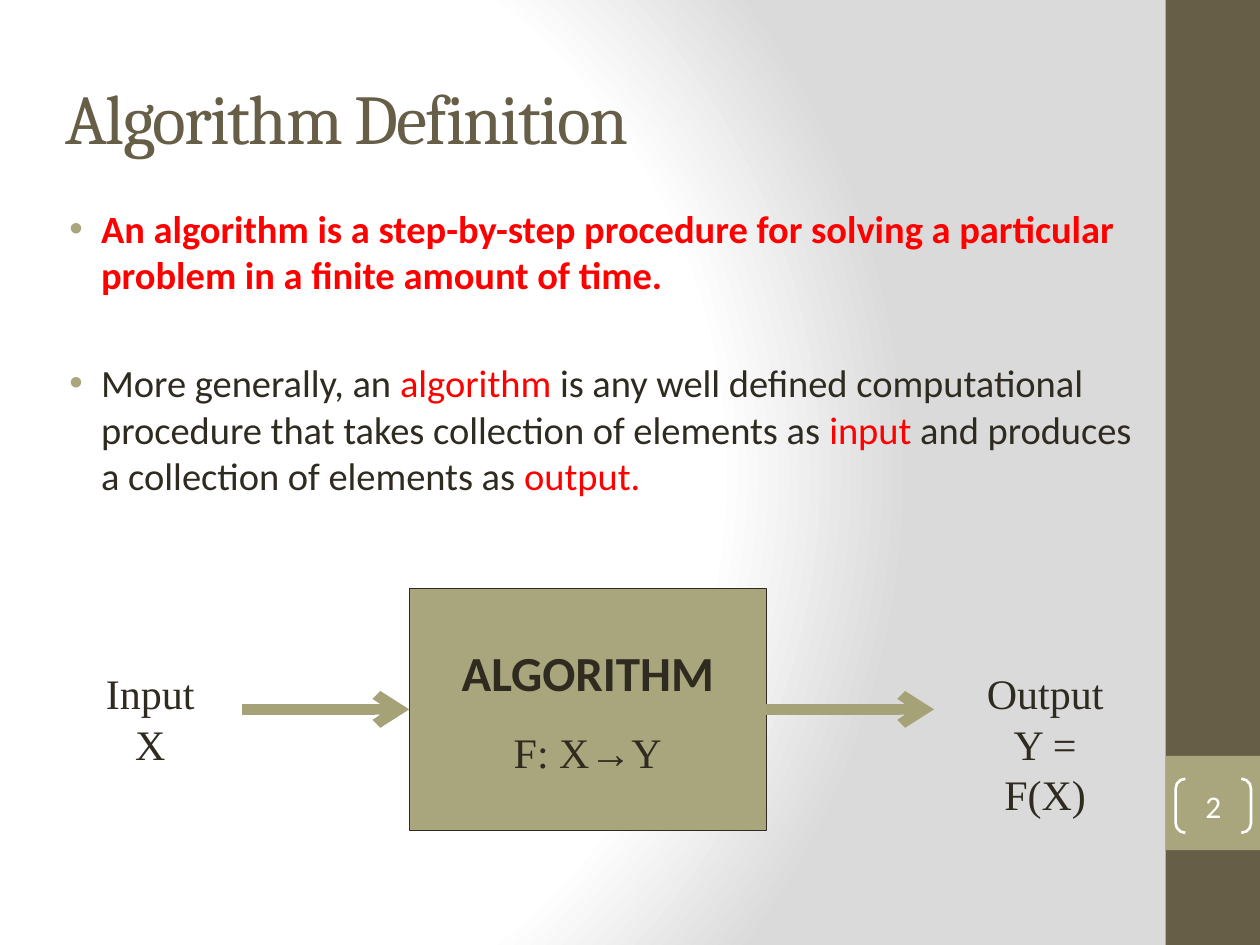
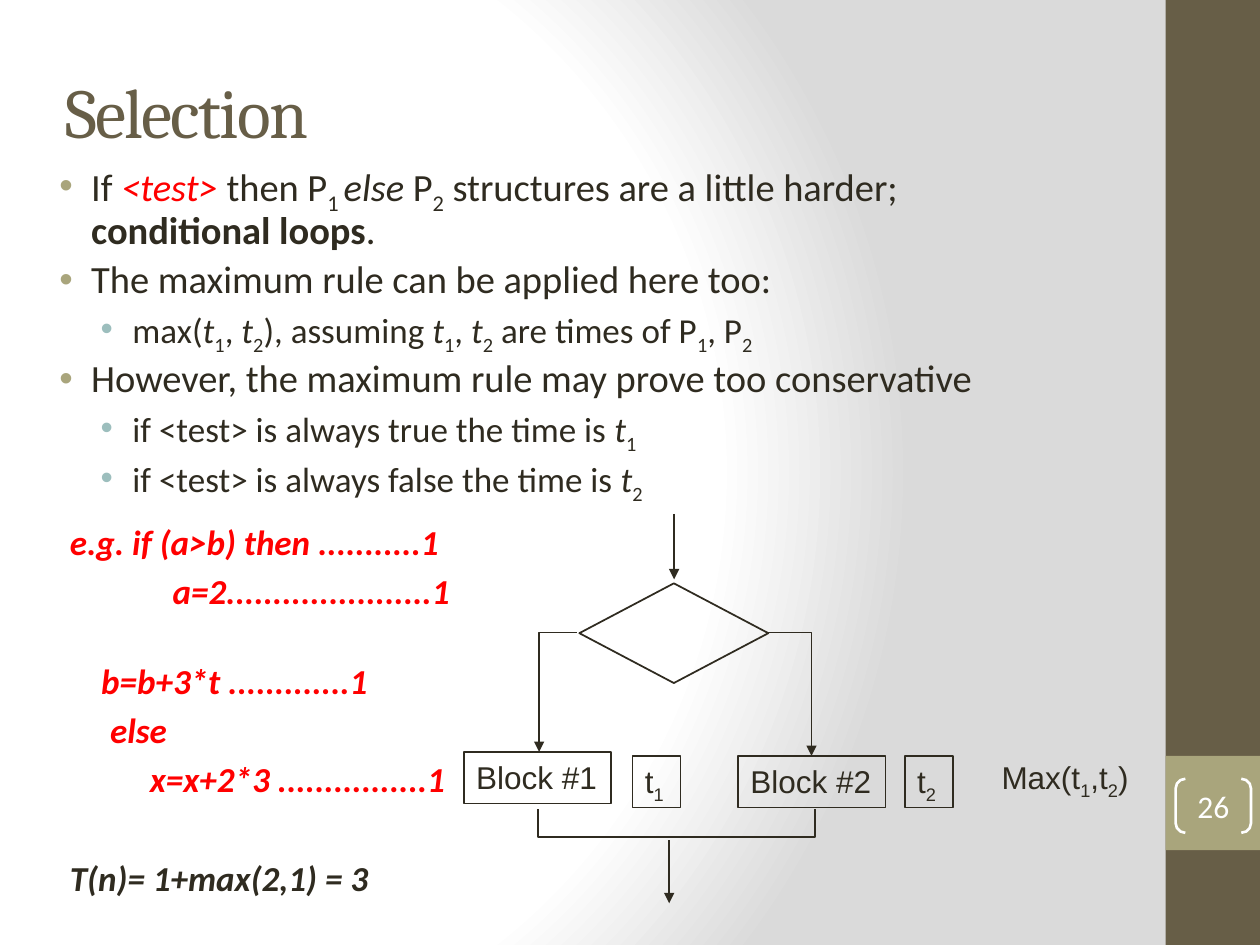
from dataclasses import dataclass

from pptx import Presentation
from pptx.dml.color import RGBColor
from pptx.enum.shapes import MSO_CONNECTOR as Link, MSO_SHAPE as Preset
from pptx.enum.text import MSO_ANCHOR as Anchor, MSO_AUTO_SIZE as Fit, PP_ALIGN as Align
from pptx.oxml import parse_xml
from pptx.oxml.ns import nsdecls, qn
from pptx.util import Cm, Pt


@dataclass(frozen=True)
class Theme:
    brown: str = "675E47"
    olive: str = "A9A57C"
    arrow: str = "A6A278"
    teal: str = "9CBEBD"
    ink: str = "2F2B20"
    red: str = "FF0000"
    white: str = "FFFFFF"
    grey: str = "DADADA"
    heading: str = "Cambria"
    body: str = "Calibri"
    formula: str = "Times New Roman"
    label: str = "Arial"
    title_size: int = 40
    name_size: int = 28
    formula_size: int = 24
    body_size: int = 22
    detail_size: int = 20
    label_size: int = 18


THEME = Theme()

# A span is (text, marks): r red, b bold, i italic, s subscript
T1 = [("t", "i"), ("1", "s")]
T2 = [("t", "i"), ("2", "s")]

# Points are (level, extra space before in points, spans)
DEFINITION = [
    (0, 0, [("An algorithm is a step-by-step procedure for solving a particular "
             "problem in a finite amount of time.", "rb")]),
    (0, 31, [("More generally, an ", ""), ("algorithm ", "r"),
             ("is any well defined computational procedure that takes "
              "collection of elements as ", ""),
             ("input ", "r"),
             ("and produces a collection of elements as ", ""), ("output.", "r")]),
]
SELECTION = [
    (0, 0, [("If ", ""), ("<test> ", "ri"), ("then P", ""), ("1 ", "s"), ("else", "i"),
            (" P", ""), ("2", "s"), (" structures are a little harder; ", ""),
            ("conditional loops", "b"), (".", "")]),
    (0, 0, [("The maximum rule can be applied here too:", "")]),
    (1, 0, [("max(", ""), *T1, (", ", ""), *T2, ("), assuming ", ""), *T1, (", ", ""), *T2,
            (" are times of P", ""), ("1", "s"), (", P", ""), ("2", "s")]),
    (0, 0, [("However, the maximum rule may prove too conservative", "")]),
    (1, 0, [("if <test> is always true the time is ", ""), *T1]),
    (1, 0, [("if <test> is always false the time is ", ""), *T2]),
]
# Example lines are (indent in cm, space before in points, text, marks)
EXAMPLE = [
    (0.32, 0, "e.g. if (a>b) then ...........1", "rbi"),
    (2.39, 4, "a=2......................1", "rbi"),
    (0.95, 27.6, "b=b+3*t .............1", "rbi"),
    (1.13, 4, "else", "rbi"),
    (1.93, 4, "x=x+2*3 ................1", "rbi"),
    (0.32, 32.4, "T(n)= 1+max(2,1) = 3", "bi"),
]
# Flow boxes are (left, top, width, spans)
FLOW_BOXES = [
    (9.35, 15.16, 2.97, [("Block #1", "")]),
    (14.88, 15.24, 2.97, [("Block #2", "")]),
    (12.75, 15.24, 0.97, [("t", ""), ("1", "s")]),
    (18.24, 15.24, 0.97, [("t", ""), ("2", "s")]),
]
MAXIMUM = [("Max(t", ""), ("1", "s"), (",t", ""), ("2", "s"), (")", "")]

# Per level: left margin in cm, bullet colour, text size
LEVELS = [(0.95, THEME.olive, THEME.body_size), (1.78, THEME.teal, THEME.detail_size)]
HANGING = 0.64


def color(value):
    return RGBColor.from_string(value)


def cms(*values):
    return [Cm(value) for value in values]


def write(para, spans, size, face, ink=THEME.ink):
    for text, marks in spans:
        span = para.add_run()
        span.text = text
        font = span.font
        font.size, font.name = Pt(size), face
        font.color.rgb = color(THEME.red if "r" in marks else ink)
        font.bold, font.italic = "b" in marks, "i" in marks
        if "s" in marks:
            font._element.set("baseline", "-25000")


def next_para(frame):
    """Return the empty first paragraph, or a new one after it."""
    first = frame.paragraphs[0]
    return frame.add_paragraph() if first.runs else first


def indent(para, margin, hanging=0):
    props = para._p.get_or_add_pPr()
    props.set("marL", str(Cm(margin)))
    props.set("indent", str(-Cm(hanging)))
    return props


def add_box(slide, place, wrap=True, fit=Fit.NONE):
    box = slide.shapes.add_textbox(*cms(*place))
    box.text_frame.word_wrap = wrap
    box.text_frame.auto_size = fit
    return box


def add_outline(slide, preset, place, fill=None, line=None, width=1):
    shape = slide.shapes.add_shape(preset, *cms(*place))
    style_outline(shape, fill, line, width)
    return shape


def style_outline(shape, fill=None, line=None, width=1):
    shape.shadow.inherit = False
    if fill:
        shape.fill.solid()
        shape.fill.fore_color.rgb = color(fill)
    else:
        shape.fill.background()
    if line:
        shape.line.color.rgb = color(line)
        shape.line.width = Pt(width)
    else:
        shape.line.fill.background()


def add_arrow(slide, start, end, ink=THEME.ink, width=1, head="triangle", bent=False):
    kind = Link.ELBOW if bent else Link.STRAIGHT
    arrow = slide.shapes.add_connector(kind, *cms(*start, *end))
    arrow.line.color.rgb = color(ink)
    arrow.line.width = Pt(width)
    props = arrow.element.spPr
    if bent:
        props.find(qn("a:prstGeom")).set("prst", "bentConnector2")
    props.find(qn("a:ln")).append(parse_xml(f'<a:tailEnd {nsdecls("a")} type="{head}"/>'))
    props.append(parse_xml(f'<a:effectLst {nsdecls("a")}/>'))
    return arrow


def set_background(master):
    stops = "".join(
        f'<a:gs pos="{position}000"><a:srgbClr val="{value}"/></a:gs>'
        for position, value in [(0, THEME.white), (75, THEME.white), (100, THEME.grey)])
    content = master.element.cSld
    old = content.find(qn("p:bg"))
    if old is not None:
        content.remove(old)
    content.insert(0, parse_xml(
        f'<p:bg {nsdecls("p", "a")}><p:bgPr><a:gradFill rotWithShape="1">'
        f'<a:gsLst>{stops}</a:gsLst><a:path path="circle">'
        '<a:fillToRect l="20000" t="50000" r="100000" b="50000"/></a:path>'
        '</a:gradFill><a:effectLst/></p:bgPr></p:bg>'))


def start_slide(deck, title, title_top, number):
    """Add a slide with its side band, title and bracketed number."""
    slide = deck.slides.add_slide(deck.slide_layouts[5])
    add_outline(slide, Preset.RECTANGLE, (23.5, 0, 1.9, 19.05), THEME.brown)
    add_outline(slide, Preset.RECTANGLE, (23.5, 15.24, 1.9, 1.9), THEME.olive)

    heading = slide.shapes.title
    heading.left, heading.top, heading.width, heading.height = cms(1.07, title_top, 21.16, 3.18)
    heading.text_frame.vertical_anchor = Anchor.MIDDLE
    para = heading.text_frame.paragraphs[0]
    para.alignment = Align.LEFT
    write(para, [(title, "")], THEME.title_size, THEME.heading, THEME.brown)
    para.runs[0].font._element.set("spc", "-100")

    bracket = add_outline(slide, Preset.DOUBLE_BRACKET, (23.7, 15.7, 1.52, 1.09),
                          line=THEME.white, width=1.5)
    bracket.adjustments[0] = 0.18
    frame = bracket.text_frame
    frame.margin_left = frame.margin_right = frame.margin_top = frame.margin_bottom = 0
    frame.vertical_anchor = Anchor.MIDDLE
    para = frame.paragraphs[0]
    para.alignment = Align.CENTER
    write(para, [(str(number), "")], THEME.label_size, THEME.body, THEME.white)
    return slide


def add_points(slide, place, points, spacing=1.0):
    frame = add_box(slide, place).text_frame
    for index, (level, gap, spans) in enumerate(points):
        margin, bullet, size = LEVELS[level]
        para = next_para(frame)
        props = indent(para, margin, HANGING)
        for xml in (f'<a:buClr {nsdecls("a")}><a:srgbClr val="{bullet}"/></a:buClr>',
                    f'<a:buFont {nsdecls("a")} typeface="Arial"/>',
                    f'<a:buChar {nsdecls("a")} char="•"/>'):
            props.append(parse_xml(xml))
        para.line_spacing = spacing
        if index:
            para.space_before = Pt(size * 0.2 + gap)
        write(para, spans, size, THEME.body)


def add_definition(deck):
    slide = start_slide(deck, "Algorithm Definition", 0.76, 2)
    add_points(slide, (0.84, 4.01, 22.23, 6.99), DEFINITION)

    for left, width, lines in [(1.47, 3.12, ("Input", "X")),
                               (19.3, 3.54, ("Output", "Y = F(X)"))]:
        frame = add_box(slide, (left, 13.34, width, 2.31), fit=Fit.SHAPE_TO_FIT_TEXT).text_frame
        for line in lines:
            para = next_para(frame)
            para.alignment = Align.CENTER
            write(para, [(line, "")], THEME.formula_size, THEME.formula)

    left, top, width, height = place = (8.25, 11.86, 7.2, 4.88)
    algorithm = add_outline(slide, Preset.RECTANGLE, place, THEME.olive, THEME.ink, 0.75)
    frame = algorithm.text_frame
    frame.word_wrap = False
    frame.vertical_anchor = Anchor.MIDDLE
    for text, marks, size, face, spacing in [
            ("ALGORITHM", "b", THEME.name_size, THEME.body, 1.0),
            ("F: X→Y", "", THEME.formula_size, THEME.formula, 1.5)]:
        para = next_para(frame)
        para.alignment = Align.CENTER
        para.line_spacing = spacing
        write(para, [(text, marks)], size, face)

    middle, right, reach = top + height / 2, left + width, 3.38
    style = (THEME.arrow, 6, "arrow")
    arrow_in = add_arrow(slide, (left - reach, middle), (left, middle), *style)
    arrow_in.end_connect(algorithm, 1)
    arrow_out = add_arrow(slide, (right, middle), (right + reach, middle), *style)
    arrow_out.begin_connect(algorithm, 3)


def add_flowchart(slide):
    add_outline(slide, Preset.FLOWCHART_DECISION, (11.68, 11.76, 3.81, 2.01), line=THEME.ink)
    for left, top, width, spans in FLOW_BOXES:
        block = add_outline(slide, Preset.RECTANGLE, (left, top, width, 1.04), line=THEME.ink)
        frame = block.text_frame
        frame.word_wrap = False
        frame.auto_size = Fit.SHAPE_TO_FIT_TEXT
        frame.vertical_anchor = Anchor.TOP
        frame.paragraphs[0].alignment = Align.LEFT
        write(frame.paragraphs[0], spans, THEME.label_size, THEME.label)
    maximum = add_box(slide, (19.94, 15.16, 3.12, 1.02), False, Fit.SHAPE_TO_FIT_TEXT)
    write(maximum.text_frame.paragraphs[0], MAXIMUM, THEME.label_size, THEME.label)

    add_arrow(slide, (11.63, 12.75), (10.87, 15.16), bent=True)
    add_arrow(slide, (15.49, 12.75), (16.36, 15.24), bent=True)
    add_arrow(slide, (13.59, 10.36), (13.59, 11.68))
    add_arrow(slide, (13.49, 16.94), (13.49, 18.21))

    left, right, top, bottom = cms(10.85, 16.43, 16.31, 16.87)
    outline = slide.shapes.build_freeform(left, top)
    outline.add_line_segments([(left, bottom), (right, bottom), (right, top)], close=False)
    style_outline(outline.convert_to_shape(), line=THEME.ink)


def add_selection(deck):
    slide = start_slide(deck, "Selection", 0.64, 26)
    add_points(slide, (0.64, 3.18, 21.16, 6.99), SELECTION, 0.9)
    frame = add_box(slide, (0.84, 10.36, 9.35, 7.82)).text_frame
    for margin, gap, text, marks in EXAMPLE:
        para = next_para(frame)
        indent(para, margin)
        if gap:
            para.space_before = Pt(gap)
        write(para, [(text, marks)], THEME.detail_size, THEME.body)
    add_flowchart(slide)


def main():
    deck = Presentation()
    deck.slide_width, deck.slide_height = cms(25.4, 19.05)
    set_background(deck.slide_master)
    add_definition(deck)
    add_selection(deck)
    deck.save("out.pptx")


if __name__ == "__main__":
    main()
